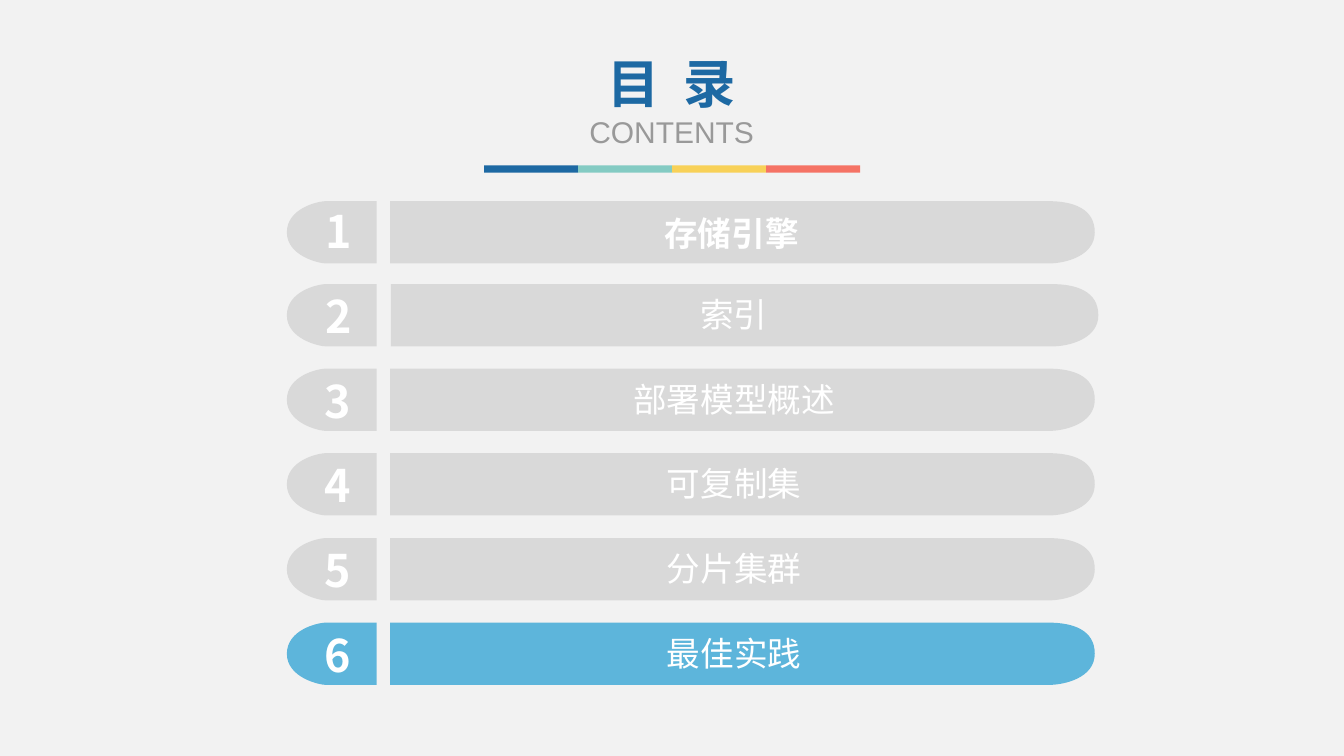
"""Build the contents slide: a title, a four-colour rule and six numbered rows."""
from dataclasses import dataclass

from lxml.etree import SubElement
from pptx import Presentation
from pptx.dml.color import RGBColor
from pptx.enum.shapes import MSO_SHAPE
from pptx.enum.text import MSO_ANCHOR, MSO_AUTO_SIZE, PP_ALIGN
from pptx.oxml.ns import qn
from pptx.util import Cm, Pt

COLORS = {
    "background": "F2F2F2", "blue": "1D69A3", "teal": "84CBC3",
    "yellow": "F8D158", "coral": "F57365", "subtitle": "999999",
    "idle": "D9D9D9", "active": "5DB5DB", "white": "FFFFFF",
}
CJK = "Noto Sans CJK SC"
ROW_HEIGHT = 1.57
TAB_LEFT, TAB_RIGHT = 7.23, 9.49


@dataclass
class Row:
    """One contents entry, with lengths in centimetres."""
    number: str
    label: str
    top: float
    color: str = "idle"
    bold: bool = False
    bar_left: float = 9.83
    bar_right: float = 27.59
    label_left: float = 9.94
    label_width: float = 17.12
    label_drop: float = 0.13
    number_left: float = 7.9
    number_drop: float = 0.0


ROWS = [
    Row("1", "存储引擎", 5.07, bold=True, label_left=9.99, label_width=16.89,
        label_drop=0.16, number_left=7.92, number_drop=-0.06),
    Row("2", "索引", 7.16, bar_left=9.85, bar_right=27.68, label_left=9.98,
        label_width=17.02, number_left=7.92),
    Row("3", "部署模型概述", 9.29),
    Row("4", "可复制集", 11.42),
    Row("5", "分片集群", 13.56),
    Row("6", "最佳实践", 15.69, color="active"),
]


def rgb(name: str) -> RGBColor:
    """Return a named palette colour."""
    return RGBColor.from_string(COLORS[name])


def paint(sp, color: str) -> None:
    """Give a shape a plain fill without line or shadow."""
    sp.fill.solid()
    sp.fill.fore_color.rgb = rgb(color)
    sp.line.fill.background()
    sp.shadow.inherit = False


def add_run(p, text: str, size: float, color: str, font: str, bold: bool = False):
    """Append a formatted run to a paragraph."""
    r = p.add_run()
    r.text = text
    r.font.size = Pt(size)
    r.font.bold = bold
    r.font.name = font
    r.font.color.rgb = rgb(color)
    SubElement(r.font._element, qn("a:ea")).set("typeface", CJK)
    return r


def bend(sp, first: int) -> None:
    """Turn the line segments from the given index on, three by three, into curves."""
    lines = list(sp._element.iter(qn("a:lnTo")))[first:]
    for start, middle, end in zip(lines[::3], lines[1::3], lines[2::3]):
        start.tag = qn("a:cubicBezTo")
        for line in (middle, end):
            start.append(line[0])
            line.getparent().remove(line)


def add_rounded_end(s, flat: float, tip: float, top: float, depth: float,
                    pulls: tuple, color: str) -> None:
    """Draw a bar that is flat at one end and round at the other."""
    reach = depth if tip > flat else -depth
    shoulder, bottom = tip - reach, top + ROW_HEIGHT
    lower, upper = (shoulder + reach * pull for pull in pulls)
    outline = [
        (flat, bottom), (shoulder, bottom),
        (lower, bottom), (tip, top + 0.88 * ROW_HEIGHT), (tip, top + ROW_HEIGHT / 2),
        (tip, top + 0.12 * ROW_HEIGHT), (upper, top), (shoulder, top),
    ]
    builder = s.shapes.build_freeform(Cm(flat), Cm(top))
    builder.add_line_segments([(Cm(x), Cm(y)) for x, y in outline], close=True)
    sp = builder.convert_to_shape()
    bend(sp, 2)
    paint(sp, color)


def add_text(s, left: float, top: float, width: float, height: float, text: str,
             size: float, bold: bool, wrap: bool) -> None:
    """Add a centred white text box."""
    tf = s.shapes.add_textbox(Cm(left), Cm(top), Cm(width), Cm(height)).text_frame
    tf.word_wrap = wrap
    tf.auto_size = MSO_AUTO_SIZE.SHAPE_TO_FIT_TEXT
    p = tf.paragraphs[0]
    p.alignment = PP_ALIGN.CENTER
    add_run(p, text, size, "white", CJK, bold)


def add_row(s, row: Row) -> None:
    """Draw the number tab, the bar and the texts of one row."""
    add_rounded_end(s, row.bar_left, row.bar_right, row.top, 1.17, (0.37, 0.54), row.color)
    add_rounded_end(s, TAB_RIGHT, TAB_LEFT, row.top, 0.99, (0.18, 0.23), row.color)
    add_text(s, row.number_left, row.top + row.number_drop, 1.22, 1.63,
             row.number, 32, True, False)
    add_text(s, row.label_left, row.top + row.label_drop, row.label_width, 1.27,
             row.label, 24, row.bold, True)


def add_title(s) -> None:
    """Place and format the two-line title."""
    sp = s.shapes.title
    sp.left, sp.top, sp.width, sp.height = Cm(14.18), Cm(1.16), Cm(5.49), Cm(2.77)
    tf = sp.text_frame
    tf.word_wrap = True
    tf.auto_size = MSO_AUTO_SIZE.SHAPE_TO_FIT_TEXT
    tf.vertical_anchor = MSO_ANCHOR.TOP
    p = tf.paragraphs[0]
    p.alignment = PP_ALIGN.CENTER
    for text in ("目", " ", "录"):
        r = add_run(p, text, 37.4, "blue", "Arial Narrow", True)
        if text == " ":
            r.font._element.set("spc", "850")
    p = tf.add_paragraph()
    p.alignment = PP_ALIGN.CENTER
    add_run(p, "CONTENTS", 21.4, "subtitle", "Arial")


def add_rule(s) -> None:
    """Draw the four-colour rule under the title."""
    width = 2.37
    for i, color in enumerate(("blue", "teal", "yellow", "coral")):
        sp = s.shapes.add_shape(MSO_SHAPE.RECTANGLE, Cm(12.2 + i * width), Cm(4.17),
                                Cm(width), Cm(0.18))
        paint(sp, color)


def main() -> None:
    """Build and save the slide."""
    prs = Presentation()
    prs.slide_width, prs.slide_height = Cm(33.87), Cm(19.05)
    s = prs.slides.add_slide(prs.slide_layouts[5])
    s.background.fill.solid()
    s.background.fill.fore_color.rgb = rgb("background")
    add_title(s)
    add_rule(s)
    for row in ROWS:
        add_row(s, row)
    prs.save("out.pptx")


if __name__ == "__main__":
    main()
